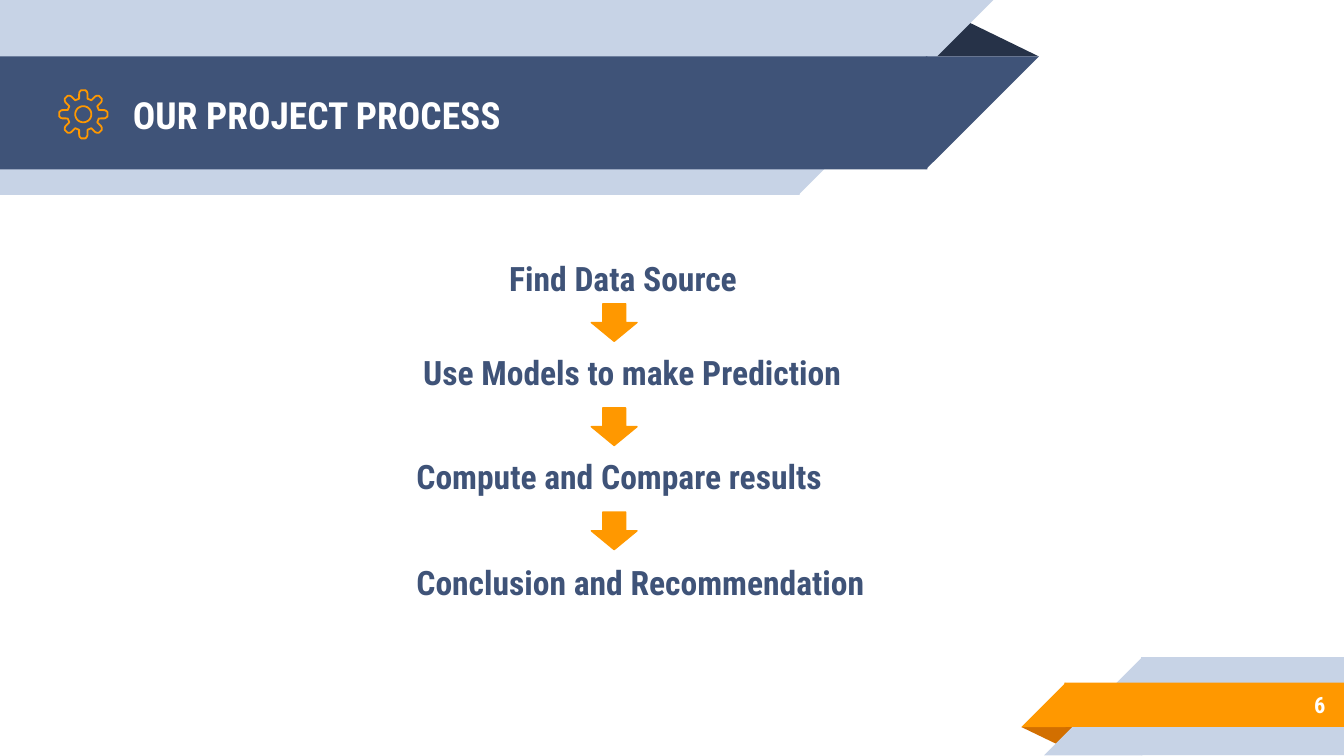
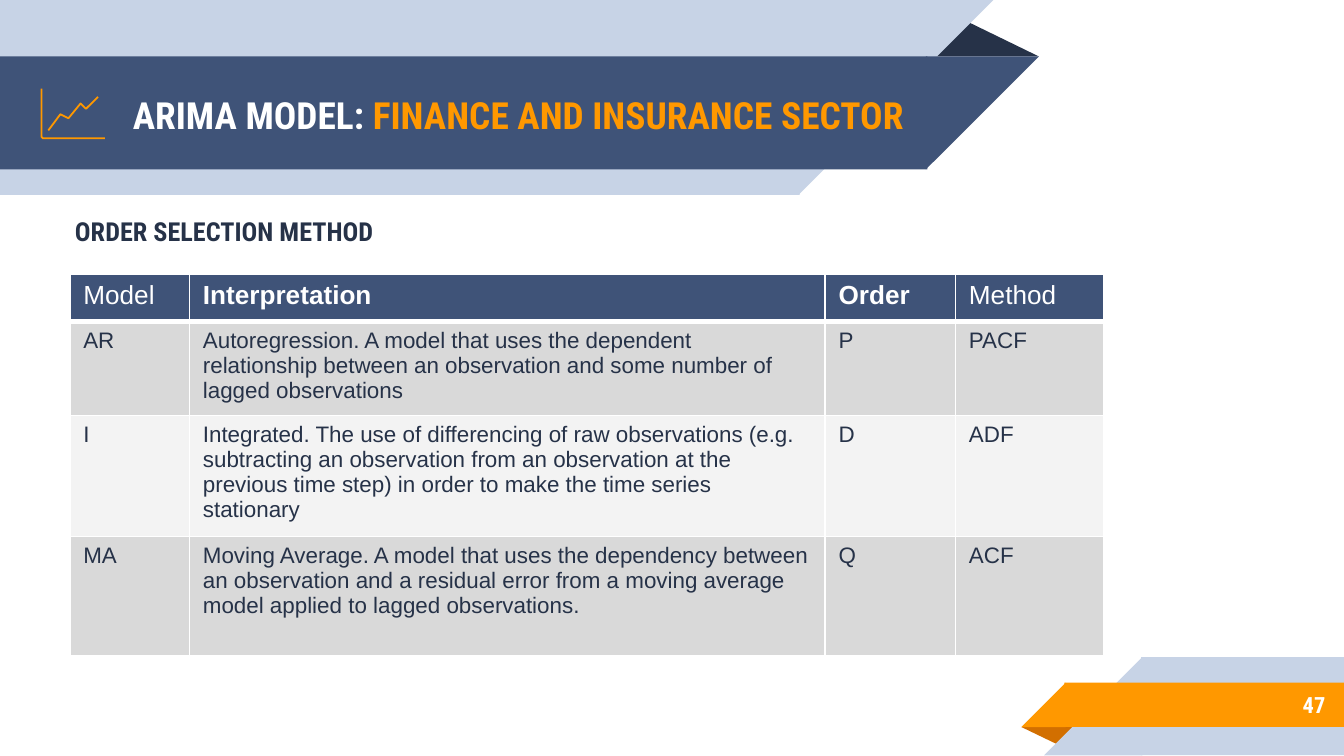
from math import cos, radians, sin

from lxml import etree
from pptx import Presentation
from pptx.dml.color import RGBColor
from pptx.enum.shapes import MSO_SHAPE
from pptx.enum.text import MSO_ANCHOR, PP_ALIGN
from pptx.oxml.ns import qn
from pptx.util import Inches, Pt

RECT = MSO_SHAPE.RECTANGLE
RIGHT_TRIANGLE = MSO_SHAPE.RIGHT_TRIANGLE
TRIANGLE = MSO_SHAPE.ISOSCELES_TRIANGLE
DOWN_ARROW = MSO_SHAPE.DOWN_ARROW
LEFT, RIGHT = PP_ALIGN.LEFT, PP_ALIGN.RIGHT
TOP, MIDDLE = MSO_ANCHOR.TOP, MSO_ANCHOR.MIDDLE

# Shared look
NAVY, DARK, PALE = "3F5378", "263248", "C7D3E6"
ORANGE, BURNT, WHITE = "FF9800", "D26F00", "FFFFFF"
ARROW_EDGE = "FF9900"
GREY, LIGHT_GREY = "D9D9D9", "F3F3F3"
HEADING_FONT, TABLE_FONT = "Roboto Condensed", "Arial"
ICON_LINE = 0.96
SEAM = 0.01  # overlap that hides the joint inside a band


def colour(hex_text):
    return RGBColor.from_string(hex_text)


def format_span(span, hex_text, **values):
    for name, value in values.items():
        setattr(span.font, name, value)
    span.font.color.rgb = colour(hex_text)


def add_text(page, at, spans, size, align=LEFT, anchor=TOP, inset=0.1):
    """Add a one-paragraph heading-font box; spans are (text, colour) pairs."""
    box = page.shapes.add_textbox(*map(Inches, at))
    frame = box.text_frame
    settings = {
        "word_wrap": True, "vertical_anchor": anchor,
        "margin_left": Inches(0.1), "margin_right": Inches(0.1),
        "margin_top": Inches(inset), "margin_bottom": Inches(inset),
    }
    for name, value in settings.items():
        setattr(frame, name, value)
    para = frame.paragraphs[0]
    para.alignment = align
    for text, hex_text in spans:
        span = para.add_run()
        span.text = text
        format_span(span, hex_text, name=HEADING_FONT, size=Pt(size), bold=True)


def add_block(page, kind, at, fill, rotation=0, flip=False, apex=None):
    block = page.shapes.add_shape(kind, *map(Inches, at))
    block.shadow.inherit = False
    block.fill.solid()
    block.fill.fore_color.rgb = colour(fill)
    block.line.fill.background()
    block.rotation = rotation
    if flip:
        block._element.spPr.xfrm.set("flipH", "1")
    if apex is not None:
        block.adjustments[0] = apex
    return block


def add_outline(page, contours, closed=False):
    """Draw unfilled orange contours, given in inches, as one freeform."""
    contours = [[(Inches(x), Inches(y)) for x, y in contour] for contour in contours]
    builder = page.shapes.build_freeform(*contours[0][0])
    for number, contour in enumerate(contours):
        if number:
            builder.move_to(*contour[0])
        builder.add_line_segments(contour[1:], close=closed)
    outline = builder.convert_to_shape()
    outline.shadow.inherit = False
    outline.fill.background()
    outline.line.color.rgb = colour(ORANGE)
    outline.line.width = Pt(ICON_LINE)


# Bands, title and page number
def add_header_band(page, top, straight, height, fill):
    add_block(page, RECT, (0, top, straight + SEAM, height), fill, 180, True)
    add_block(page, RIGHT_TRIANGLE, (straight, top, height, height), fill, 180, True)


def add_footer_band(page, left, top, height, fill):
    start = left + height - SEAM
    add_block(page, RECT, (start, top, 10 - start, height), fill, flip=True)
    add_block(page, RIGHT_TRIANGLE, (left, top, height, height), fill, flip=True)


def add_page(deck, title, title_width, number):
    page = deck.slides.add_slide(deck.slide_layouts[6])
    add_block(page, TRIANGLE, (6.88, 0.14, 0.85, 0.28), DARK, apex=0.324)
    add_header_band(page, 0, 5.94, 1.45, PALE)
    add_header_band(page, 0.42, 6.89, 0.84, NAVY)
    add_block(page, TRIANGLE, (7.6, 5.41, 0.43, 0.14), BURNT, 180, apex=0.324)
    add_footer_band(page, 7.77, 4.89, 0.73, PALE)
    add_footer_band(page, 7.6, 5.08, 0.33, ORANGE)
    add_text(page, (0.89, 0.43, title_width, 0.84), title, 20, anchor=MIDDLE)
    add_text(page, (8.33, 5.07, 1.63, 0.35), [(number, WHITE)], 12, RIGHT, MIDDLE)
    return page


# Icons
def add_gear_icon(page):
    def around(angle, radius):
        turn = radians(angle)
        return 0.62 + radius * sin(turn), 0.85 - radius * cos(turn)

    half_tooth = [(15, 0.12), (11, 0.16), (9, 0.17), (5, 0.18)]
    tooth = [(-angle, radius) for angle, radius in half_tooth] + half_tooth[::-1]
    rim = [around(middle + angle, radius)
           for middle in range(0, 360, 45) for angle, radius in tooth]
    hole = [around(angle, 0.06) for angle in range(0, 360, 10)]
    add_outline(page, [rim, hole], closed=True)


def add_chart_icon(page):
    add_outline(page, [[(0.31, 0.66), (0.31, 1.02), (0.32, 1.03), (0.78, 1.03)]])
    add_outline(page, [[(0.36, 0.97), (0.45, 0.85), (0.51, 0.88),
                        (0.6, 0.77), (0.64, 0.81), (0.73, 0.72)]])


# Table
def add_borders(cell, widths):
    properties = cell._tc.get_or_add_tcPr()
    for side, width in widths.items():
        line = etree.SubElement(properties, qn(f"a:ln{side}"), w=str(Pt(width)))
        fill = etree.SubElement(line, qn("a:solidFill"))
        etree.SubElement(fill, qn("a:srgbClr"), val=WHITE)


def add_model_table(page, rows, widths, heights):
    at = (0.52, 2.04, sum(widths), sum(heights))
    table = page.shapes.add_table(len(rows), len(widths), *map(Inches, at)).table
    for column, width in zip(table.columns, widths):
        column.width = Inches(width)
    for row, height in zip(table.rows, heights):
        row.height = Inches(height)
    for r, texts in enumerate(rows):
        is_header = r == 0
        fill = NAVY if is_header else GREY if r % 2 else LIGHT_GREY
        for c, text in enumerate(texts):
            cell = table.cell(r, c)
            if is_header:
                add_borders(cell, {"L": 1, "R": 1, "T": 1, "B": 3})
            cell.fill.solid()
            cell.fill.fore_color.rgb = colour(fill)
            span = cell.text_frame.paragraphs[0].add_run()
            span.text = text
            format_span(span, WHITE if is_header else DARK, name=TABLE_FONT,
                        size=Pt(14 if is_header else 12),
                        bold=is_header and c in (1, 2))


# Slides
def add_process_page(deck):
    page = add_page(deck, [("OUR PROJECT PROCESS", WHITE)], 5.75, "6")
    steps = [
        ("Find Data Source", (3.69, 1.82, 2.29, 0.54)),
        ("Use Models to make Prediction", (3.05, 2.52, 3.78, 0.35)),
        ("Compute and Compare results", (3, 3.29, 3.33, 0.54)),
        ("Conclusion and Recommendation", (3, 4.08, 3.87, 0.63)),
    ]
    for text, at in steps:
        add_text(page, at, [(text, NAVY)], 18)
    add_gear_icon(page)
    for gap in range(len(steps) - 1):
        arrow = add_block(page, DOWN_ARROW, (4.4, 2.26 + 0.775 * gap, 0.34, 0.28), ORANGE)
        arrow.line.color.rgb = colour(ARROW_EDGE)
        arrow.line.width = Pt(0.75)


def add_arima_page(deck):
    title = [("ARIMA MODEL: ", WHITE), ("FINANCE AND INSURANCE SECTOR", ORANGE)]
    page = add_page(deck, title, 6.16, "47")
    add_chart_icon(page)
    rows = [
        ("Model", "Interpretation", "Order", "Method"),
        ("AR", "Autoregression. A model that uses the dependent relationship between "
         "an observation and some number of lagged observations", "P", "PACF"),
        ("I", "Integrated. The use of differencing of raw observations (e.g. subtracting "
         "an observation from an observation at the previous time step) in order to "
         "make the time series stationary", "D", "ADF"),
        ("MA", "Moving Average. A model that uses the dependency between an observation "
         "and a residual error from a moving average model applied to lagged "
         "observations.", "Q", "ACF"),
    ]
    add_model_table(page, rows, (0.89, 4.73, 0.97, 1.1), (0.35, 0.69, 0.89, 0.89))
    add_text(page, (0.46, 1.55, 5, 0.34), [("ORDER SELECTION METHOD", DARK)], 14, inset=0.05)


def main():
    deck = Presentation()
    deck.slide_width = Inches(10)
    deck.slide_height = deck.slide_width * 9 // 16
    add_process_page(deck)
    add_arima_page(deck)
    deck.save("out.pptx")


if __name__ == "__main__":
    main()
